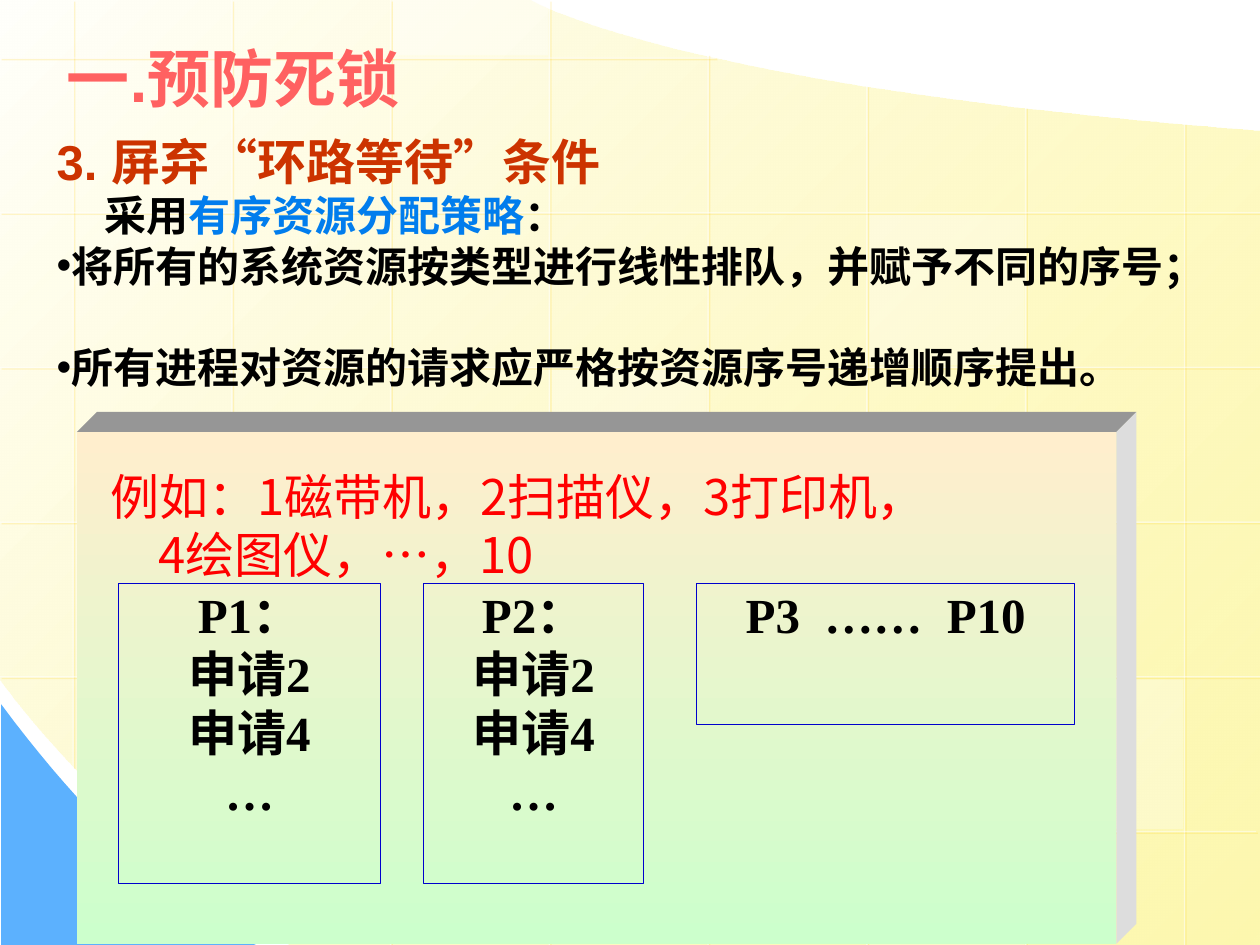
"""Builds a slide on preventing deadlock by ordered resource allocation."""
from dataclasses import dataclass

from lxml import etree
from pptx import Presentation
from pptx.dml.color import RGBColor
from pptx.enum.dml import MSO_FILL
from pptx.enum.shapes import MSO_CONNECTOR, MSO_SHAPE
from pptx.enum.text import MSO_ANCHOR, MSO_AUTO_SIZE, PP_ALIGN
from pptx.oxml.ns import qn
from pptx.util import Inches, Pt

RECTANGLE = MSO_SHAPE.RECTANGLE
STRAIGHT = MSO_CONNECTOR.STRAIGHT
GRADIENT = MSO_FILL.GRADIENT
TOP, MIDDLE = MSO_ANCHOR.TOP, MSO_ANCHOR.MIDDLE
NO_AUTOFIT = MSO_AUTO_SIZE.NONE
LEFT, CENTER = PP_ALIGN.LEFT, PP_ALIGN.CENTER

COLUMNS, ROWS = 100, 75
SANS, SERIF, CJK = "Arial", "Times New Roman", "Noto Sans CJK SC"
BLACK, WHITE, RED, BLUE, GOLD = "000000", "FFFFFF", "FF0000", "0000CC", "FFCC00"
GRID_LEFT, GRID_TOP, GRID_WIDTH, GRID_HEIGHT, GRID_GAP = 5.8, 4.6, 12.6, 12.28, 0.2


@dataclass(frozen=True)
class Area:
    left: float
    top: float
    width: float
    height: float


@dataclass(frozen=True)
class Style:
    size: float
    font: str
    color: str
    bold: bool = True


@dataclass(frozen=True)
class Tile:
    column: int
    row: int
    opacity: int


@dataclass(frozen=True)
class Line:
    spans: tuple[tuple[str, Style], ...]
    bullet: bool = False
    indent: float = 0
    before: float = 0


@dataclass(frozen=True)
class Process:
    area: Area
    text: str


HEADING = Style(28, SANS, "CC3300")
PLAIN = Style(24, SANS, BLACK)
ACCENT = Style(24, SANS, "017DED")
TILES = (Tile(3, 2, 25), Tile(6, 4, 30), Tile(0, 3, 20), Tile(5, 5, 20),
         Tile(2, -1, 40), Tile(2, 4, 30), Tile(5, 1, 30))
COLUMN_SPANS = ((0, 60.9), (0, 71.9), (0, 75), (0, 75),
                (4.3, 75), (6.8, 75), (8.5, 75), (9.8, 75))
ROW_SPANS = ((0, 56.8), (0, 100), (0, 100), (0, 100), (0, 100), (11.1, 99.7))
BODY = (
    Line((("3. 屏弃“环路等待”条件", HEADING),)),
    Line((("采用", PLAIN), ("有序资源分配策略", ACCENT), ("：", PLAIN)), indent=3.8),
    Line((("将所有的系统资源按类型进行线性排队，并赋予不同的序号；", PLAIN),), bullet=True),
    Line((("所有进程对资源的请求应严格按资源序号递增顺序提出。", PLAIN),), bullet=True, before=29),
)
PROCESSES = (
    Process(Area(9.4, 46.3, 20.8, 23.8), "P1：\n申请2\n申请4\n…"),
    Process(Area(33.6, 46.3, 17.5, 23.8), "P2：\n申请2\n申请4\n…"),
    Process(Area(55.3, 46.3, 30, 11.2), "P3  ……  P10"),
)


def cells(count: float) -> int:
    return Inches(count / 10)


def paint(color_format, color: str, opacity: int = 100) -> None:
    color_format.rgb = RGBColor.from_string(color)
    if opacity < 100:
        node = color_format._xFill if hasattr(color_format, "_xFill") else color_format._parent
        add_alpha(node, opacity)


def add_alpha(holder, opacity: int) -> None:
    for color in holder.iter(qn("a:srgbClr")):
        etree.SubElement(color, qn("a:alpha")).set("val", str(opacity * 1000))


def fill_solid(shape, color: str, opacity: int = 100) -> None:
    shape.shadow.inherit = False
    shape.fill.solid()
    shape.fill.fore_color.rgb = RGBColor.from_string(color)
    shape.line.fill.background()
    if opacity < 100:
        add_alpha(shape.element.spPr.find(qn("a:solidFill")), opacity)


def fill_gradient(shape, start: str, end: str, angle: float, end_opacity: int = 100) -> None:
    shape.shadow.inherit = False
    shape.fill.gradient()
    shape.fill.gradient_angle = angle
    for stop, color, position in zip(shape.fill.gradient_stops, (start, end), (0, 1)):
        stop.color.rgb = RGBColor.from_string(color)
        stop.position = position
    if end_opacity < 100:
        add_alpha(shape.element.spPr.findall(".//" + qn("a:gs"))[-1], end_opacity)
    shape.line.fill.background()


def curve(start, first, second, end, steps: int = 32) -> list[tuple[float, float]]:
    points = []
    for step in range(steps + 1):
        t = step / steps
        weights = ((1 - t) ** 3, 3 * t * (1 - t) ** 2, 3 * t ** 2 * (1 - t), t ** 3)
        points.append(tuple(sum(w * p[axis] for w, p in zip(weights, (start, first, second, end)))
                            for axis in (0, 1)))
    return points


def add_polygon(page, points):
    corners = [(cells(x), cells(y)) for x, y in points]
    builder = page.shapes.build_freeform(*corners[0], scale=1.0)
    builder.add_line_segments(corners[1:], close=True)
    return builder.convert_to_shape()


def add_rectangle(page, area: Area):
    return page.shapes.add_shape(RECTANGLE, cells(area.left), cells(area.top),
                                 cells(area.width), cells(area.height))


def add_grid_line(page, start: tuple[float, float], end: tuple[float, float]) -> None:
    line = page.shapes.add_connector(STRAIGHT, *map(cells, start + end))
    line.line.width = Pt(0.75)
    line.line.color.rgb = RGBColor.from_string(WHITE)
    properties = line.element.spPr
    add_alpha(properties, 50)
    effects = etree.SubElement(properties, qn("a:effectLst"))
    shadow = etree.SubElement(effects, qn("a:outerShdw"), dist=str(Pt(1.4)), dir="2700000")
    etree.SubElement(shadow, qn("a:srgbClr"), val=GOLD)
    add_alpha(shadow, 34)


def add_tile(page, tile: Tile) -> None:
    left = GRID_LEFT + tile.column * GRID_WIDTH + GRID_GAP
    edge = GRID_TOP + tile.row * GRID_HEIGHT
    top = max(0, edge + GRID_GAP)
    bottom = min(ROWS, edge + GRID_HEIGHT - GRID_GAP)
    area = Area(left, top, GRID_WIDTH - 1.5 * GRID_GAP, bottom - top)
    fill_solid(add_rectangle(page, area), WHITE, tile.opacity)


def add_backdrop(page) -> None:
    lower = curve((23, 75), (8.6, 66.1), (0, 53.9), (0, 53.9))
    upper = curve((42.1, 0), (42.1, 0.1), (53.7, 6.9), (COLUMNS, 10.4))
    sheet = add_polygon(page, [(COLUMNS, ROWS), *lower, (0, 0), *upper])
    fill_gradient(sheet, "FFFFFB", "FDF58D", 315, 70)
    corner = curve((20.3, 75), (20.3, 75), (11.2, 70.9), (0.1, 55.9))
    fill_solid(add_polygon(page, [(0.1, ROWS), *corner]), "5CB1FE")
    for index, (top, bottom) in enumerate(COLUMN_SPANS):
        x = GRID_LEFT + index * GRID_WIDTH
        add_grid_line(page, (x, top), (x, bottom))
    for index, (left, right) in enumerate(ROW_SPANS):
        y = GRID_TOP + index * GRID_HEIGHT
        add_grid_line(page, (right, y), (left, y))
    for tile in TILES:
        add_tile(page, tile)


def format_span(span, style: Style) -> None:
    font = span.font
    font.size, font.name, font.bold = Pt(style.size), style.font, style.bold
    font.color.rgb = RGBColor.from_string(style.color)
    etree.SubElement(span._r.get_or_add_rPr(), qn("a:ea"), typeface=CJK)


def format_frame(frame, style: Style, align) -> None:
    for para in frame.paragraphs:
        para.alignment = align
        for span in para.runs:
            format_span(span, style)


def place(page, box, area: Area, anchor) -> None:
    box.left, box.top = cells(area.left), cells(area.top)
    box.width, box.height = cells(area.width), cells(area.height)
    frame = box.text_frame
    frame.word_wrap, frame.auto_size, frame.vertical_anchor = True, NO_AUTOFIT, anchor
    page.shapes.element.append(box.element)


def add_line(para, line: Line) -> None:
    properties = para._p.get_or_add_pPr()
    properties.set("marL", str(cells(line.indent)))
    properties.set("indent", "0")
    if line.bullet:
        etree.SubElement(properties, qn("a:buChar"), char="•")
    else:
        etree.SubElement(properties, qn("a:buNone"))
    para.space_before = Pt(line.before)
    for text, style in line.spans:
        span = para.add_run()
        span.text = text
        format_span(span, style)


def add_panel(page, front: Area, depth: float) -> None:
    right, bottom = front.left + front.width, front.top + front.height
    far_top, far_right = front.top - depth, right + depth
    fill_solid(add_polygon(page, [(front.left, front.top), (front.left + depth, far_top),
                                  (far_right, far_top), (right, front.top)]), "969696")
    fill_solid(add_polygon(page, [(right, front.top), (far_right, far_top),
                                  (far_right, bottom - depth), (right, bottom)]), "DDDDDD")
    fill_gradient(add_rectangle(page, front), "FFEECD", "CCFFCC", 270)


def add_example(page) -> None:
    box = page.shapes.add_textbox(cells(7.8), cells(36.5), cells(66.7), cells(5.6))
    frame = box.text_frame
    frame.word_wrap = True
    frame.text = "例如：1磁带机，2扫描仪，3打印机，4绘图仪，…，10"
    properties = frame.paragraphs[0]._p.get_or_add_pPr()
    properties.set("marL", str(cells(3.8)))
    properties.set("indent", str(-cells(3.8)))
    format_frame(frame, Style(28, CJK, RED, False), LEFT)


def add_process(page, process: Process) -> None:
    box = add_rectangle(page, process.area)
    box.shadow.inherit = False
    box.fill.background()
    box.line.color.rgb = RGBColor.from_string(BLUE)
    box.line.width = Pt(0.75)
    frame = box.text_frame
    frame.word_wrap, frame.vertical_anchor = True, TOP
    frame.margin_left = frame.margin_right = frame.margin_top = frame.margin_bottom = cells(0.1)
    frame.text = process.text
    format_frame(frame, Style(28, SERIF, BLACK), CENTER)


def main() -> None:
    deck = Presentation()
    deck.slide_width, deck.slide_height = cells(COLUMNS), cells(ROWS)
    page = deck.slides.add_slide(deck.slide_layouts[1])
    title, body = page.shapes.title, page.placeholders[1]
    add_backdrop(page)
    place(page, title, Area(4.3, 2.1, 90, 8), MIDDLE)
    title.text_frame.text = "一.预防死锁"
    format_frame(title.text_frame, Style(36, SANS, "FF6161"), LEFT)
    place(page, body, Area(3.5, 9.9, 96.5, 25.6), TOP)
    for index, line in enumerate(BODY):
        add_line(body.text_frame.add_paragraph() if index else body.text_frame.paragraphs[0], line)
    add_panel(page, Area(6.1, 34.3, 82.5, 40.6), 1.6)
    add_example(page)
    for process in PROCESSES:
        add_process(page, process)
    deck.save("out.pptx")


if __name__ == "__main__":
    main()
